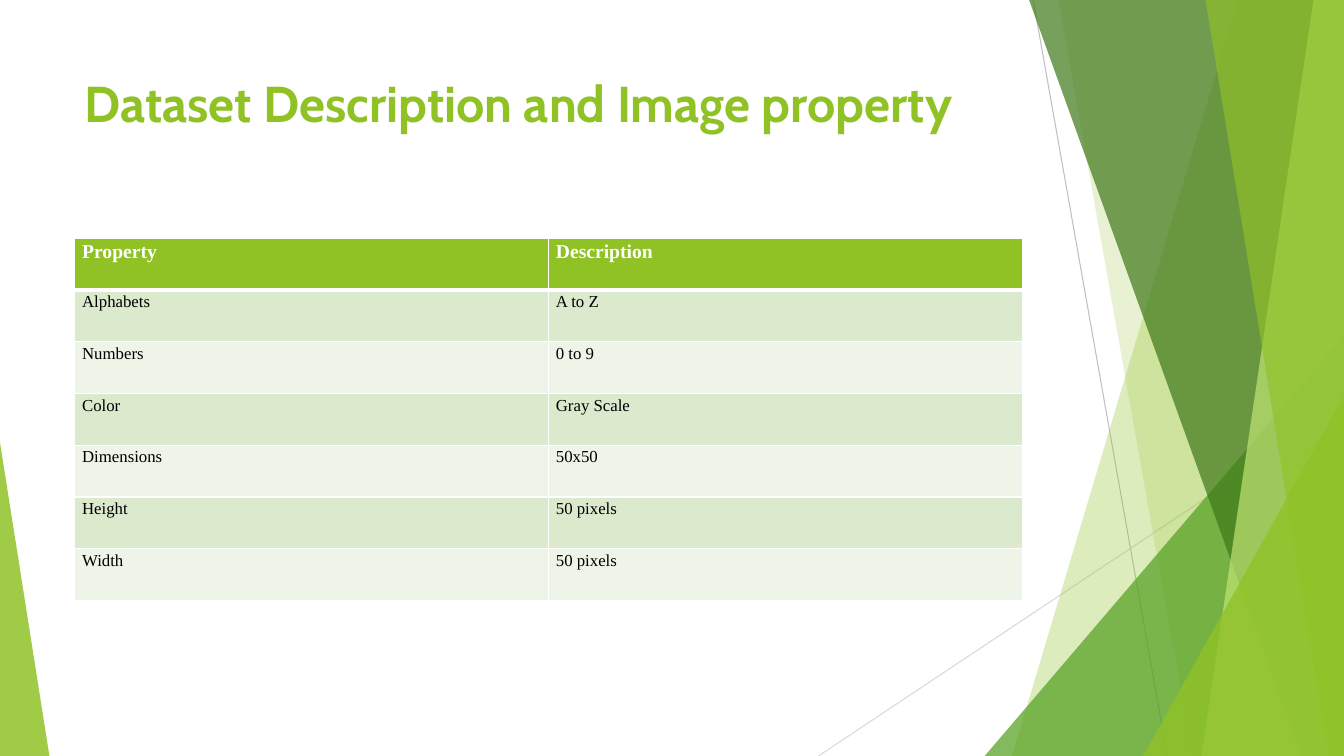
from dataclasses import dataclass

from lxml.etree import SubElement
from pptx import Presentation
from pptx.dml.color import RGBColor
from pptx.enum.shapes import MSO_CONNECTOR as Connector, MSO_SHAPE as Preset
from pptx.enum.text import MSO_ANCHOR as Anchor, PP_ALIGN as Align
from pptx.oxml.ns import qn
from pptx.util import Pt

WIDTH, HEIGHT = 960, 540
LEFT, CONTENT_WIDTH = 53.3, 676.8
ROW_HEIGHT = 37
COLORS = {
    "lime": "90C226",
    "green": "54A021",
    "forest": "3F7819",
    "pale_lime": "C0E474",
    "gray": "BFBFBF",
    "light_gray": "D9D9D9",
    "band_dark": "DBE9CD",
    "band_light": "EEF4E8",
    "white": "FFFFFF",
    "black": "000000",
}
ROWS = [
    ("Property", "Description"),
    ("Alphabets", "A to Z"),
    ("Numbers", "0 to 9"),
    ("Color", "Gray Scale"),
    ("Dimensions", "50x50"),
    ("Height", "50 pixels"),
    ("Width", "50 pixels"),
]


@dataclass
class Ray:
    x1: float
    y1: float
    x2: float
    y2: float
    color: str


@dataclass
class Band:
    top_x: float
    bottom_x: float
    color: str
    opacity: int


@dataclass
class Corner:
    left: float
    top: float
    width: float
    apex: float
    color: str
    opacity: int


RAYS = [
    Ray(738, 0, 833.8, HEIGHT, "gray"),
    Ray(WIDTH, 290.2, 584.6, HEIGHT, "light_gray"),
]
FACETS = [
    Band(884.2, 722.9, "lime", 30),
    Band(756, 851.8, "lime", 20),
    Corner(703.4, 239.8, 256.6, 1, "green", 72),
    Band(735.1, 929.5, "forest", 70),
    Band(938.2, 858.2, "pale_lime", 70),
    Band(861.1, 949, "lime", 65),
    Corner(816.5, 283, 143.5, 1, "lime", 80),
    Corner(0, 316.1, 35.3, 0, "lime", 85),
]


def rgb(name: str) -> RGBColor:
    return RGBColor.from_string(COLORS[name])


def draw_ray(page, ray: Ray) -> None:
    line = page.shapes.add_connector(
        Connector.STRAIGHT, Pt(ray.x1), Pt(ray.y1), Pt(ray.x2), Pt(ray.y2))
    line.line.color.rgb = rgb(ray.color)
    line.line.width = Pt(0.75)
    SubElement(line.element.spPr, qn("a:effectLst"))


def draw_facet(page, facet: Band | Corner) -> None:
    if isinstance(facet, Band):
        builder = page.shapes.build_freeform(Pt(facet.top_x), 0)
        builder.add_line_segments([
            (Pt(WIDTH), 0), (Pt(WIDTH), Pt(HEIGHT)), (Pt(facet.bottom_x), Pt(HEIGHT))])
        shape = builder.convert_to_shape()
    else:
        shape = page.shapes.add_shape(
            Preset.ISOSCELES_TRIANGLE, Pt(facet.left), Pt(facet.top),
            Pt(facet.width), Pt(HEIGHT - facet.top))
        shape.adjustments[0] = facet.apex
    shape.shadow.inherit = False
    shape.line.fill.background()
    shape.fill.solid()
    shape.fill.fore_color.rgb = rgb(facet.color)
    color = shape.element.spPr.find(f"{qn('a:solidFill')}/{qn('a:srgbClr')}")
    SubElement(color, qn("a:alpha"), val=str(facet.opacity * 1000))


def add_span(para, text: str, font: str, size: float, color: str, bold: bool) -> None:
    span = para.add_run()
    span.text = text
    span.font.name = font
    span.font.size = Pt(size)
    span.font.bold = bold
    span.font.color.rgb = rgb(color)


def draw_title(page) -> None:
    box = page.shapes.add_textbox(Pt(LEFT), Pt(48), Pt(CONTENT_WIDTH), Pt(104))
    box.text_frame.word_wrap = True
    box.text_frame.vertical_anchor = Anchor.TOP
    add_span(box.text_frame.paragraphs[0], "Dataset Description and Image property",
             "Cabin", 36, "lime", True)


def set_borders(cell, bottom: float, top: float) -> None:
    properties = cell._tc.get_or_add_tcPr()
    for side, width in {"L": 1, "R": 1, "T": top, "B": bottom}.items():
        border = SubElement(properties, qn(f"a:ln{side}"), w=str(Pt(width)))
        fill = SubElement(border, qn("a:solidFill"))
        SubElement(fill, qn("a:srgbClr"), val=COLORS["white"])


def fill_cell(cell, text: str, row: int) -> None:
    header = row == 0
    set_borders(cell, bottom=3 if header else 1, top=3 if row == 1 else 1)
    cell.fill.solid()
    cell.fill.fore_color.rgb = rgb(
        "lime" if header else "band_dark" if row % 2 else "band_light")
    cell.margin_left = cell.margin_right = Pt(5.4)
    cell.margin_top = cell.margin_bottom = 0
    para = cell.text_frame.paragraphs[0]
    para.alignment = Align.JUSTIFY
    para.line_spacing = 1.15
    add_span(para, text, "Times New Roman", 14 if header else 12,
             "white" if header else "black", header)


def draw_table(page) -> None:
    table = page.shapes.add_table(
        len(ROWS), len(ROWS[0]), Pt(LEFT), Pt(170),
        Pt(CONTENT_WIDTH), Pt(ROW_HEIGHT * len(ROWS))).table
    for row, texts in enumerate(ROWS):
        for column, text in enumerate(texts):
            fill_cell(table.cell(row, column), text, row)


def main() -> None:
    deck = Presentation()
    deck.slide_width, deck.slide_height = Pt(WIDTH), Pt(HEIGHT)
    page = deck.slides.add_slide(deck.slide_layouts[6])
    for ray in RAYS:
        draw_ray(page, ray)
    for facet in FACETS:
        draw_facet(page, facet)
    draw_title(page)
    draw_table(page)
    deck.save("out.pptx")


if __name__ == "__main__":
    main()
